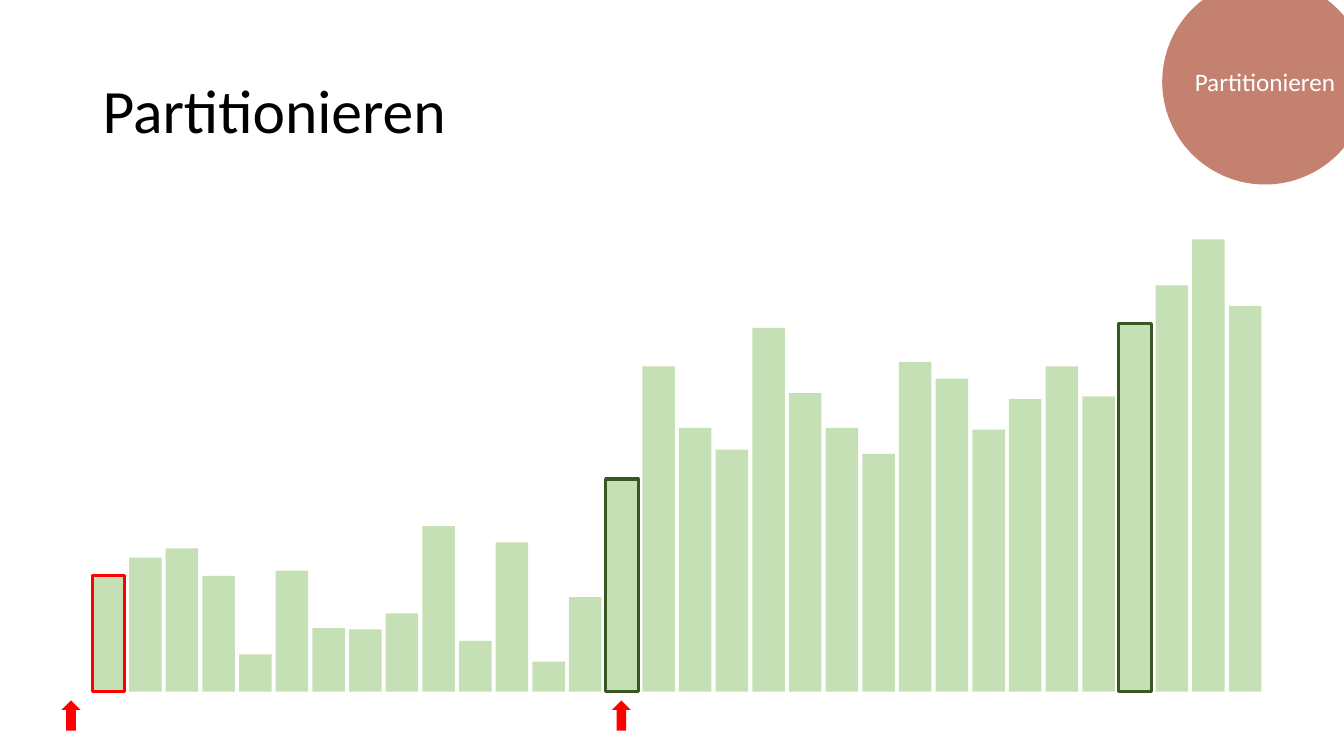
from pptx import Presentation
from pptx.dml.color import RGBColor
from pptx.enum.shapes import MSO_SHAPE
from pptx.enum.text import MSO_ANCHOR, PP_ALIGN
from pptx.util import Cm, Pt

RECTANGLE, OVAL, UP_ARROW = MSO_SHAPE.RECTANGLE, MSO_SHAPE.OVAL, MSO_SHAPE.UP_ARROW
MIDDLE, LEFT, CENTER = MSO_ANCHOR.MIDDLE, PP_ALIGN.LEFT, PP_ALIGN.CENTER

GREEN, DARK_GREEN, RED, TERRACOTTA = "C5E0B4", "385723", "FF0000", "C48170"


def add_filled_shape(kind, left, top, width, height, fill, outline=None):
    shape = slide.shapes.add_shape(kind, Cm(left), Cm(top), Cm(width), Cm(height))
    shape.shadow.inherit = False
    shape.fill.solid()
    shape.fill.fore_color.rgb = RGBColor.from_string(fill)
    if outline:
        shape.line.color.rgb = RGBColor.from_string(outline)
        shape.line.width = Pt(2.25)
    else:
        shape.line.fill.background()
    return shape


def write_text(shape, text, color, alignment, font_format):
    frame = shape.text_frame
    frame.text = text
    frame.word_wrap = True
    frame.vertical_anchor = MIDDLE
    paragraph = frame.paragraphs[0]
    paragraph.alignment = alignment
    for name, value in font_format.items():
        setattr(paragraph.font, name, value)
    paragraph.font.color.rgb = RGBColor.from_string(color)
    return frame


presentation = Presentation()
presentation.slide_width = Cm(33.87)
presentation.slide_height = Cm(19.05)
slide = presentation.slides.add_slide(presentation.slide_layouts[5])

# Title
title = slide.shapes.title
title_place = {"left": Cm(2.33), "top": Cm(1.02), "width": Cm(29.21), "height": Cm(3.68)}
for name, value in title_place.items():
    setattr(title, name, value)
title_frame = write_text(title, "Partitionieren", "000000", LEFT,
                         {"name": "Calibri", "size": Pt(44)})
title_frame.paragraphs[0].line_spacing = 0.9

# Step badge in the corner
badge = add_filled_shape(OVAL, 29.29, -0.53, 5.18, 5.18, TERRACOTTA)
badge_frame = write_text(badge, "Partitionieren", "FFFFFF", CENTER,
                         {"name": "Calibri", "size": Pt(18)})
badge_frame.margin_left = badge_frame.margin_right = 0

# Bars of the array, standing on one baseline
bar_heights = [
    2.92, 3.38, 3.61, 2.92, 0.94, 3.05, 1.6, 1.57,
    1.97, 4.17, 1.28, 3.76, 0.76, 2.38, 5.36, 8.2,
    6.65, 6.1, 9.17, 7.52, 6.65, 5.99, 8.31, 7.89,
    6.6, 7.37, 8.2, 7.44, 9.27, 10.24, 11.4, 9.72,
]
bar_outlines = {0: RED, 14: DARK_GREEN, 28: DARK_GREEN}
first_left, last_left, bar_width, baseline = 2.33, 30.97, 0.82, 17.43
pitch = (last_left - first_left) / (len(bar_heights) - 1)
for index, height in enumerate(bar_heights):
    add_filled_shape(RECTANGLE, first_left + index * pitch, baseline - height,
                     bar_width, height, GREEN, bar_outlines.get(index))

# Position arrows below the bars
for arrow_left in (1.55, 15.42):
    add_filled_shape(UP_ARROW, arrow_left, 17.65, 0.48, 0.76, RED)

presentation.save("out.pptx")
